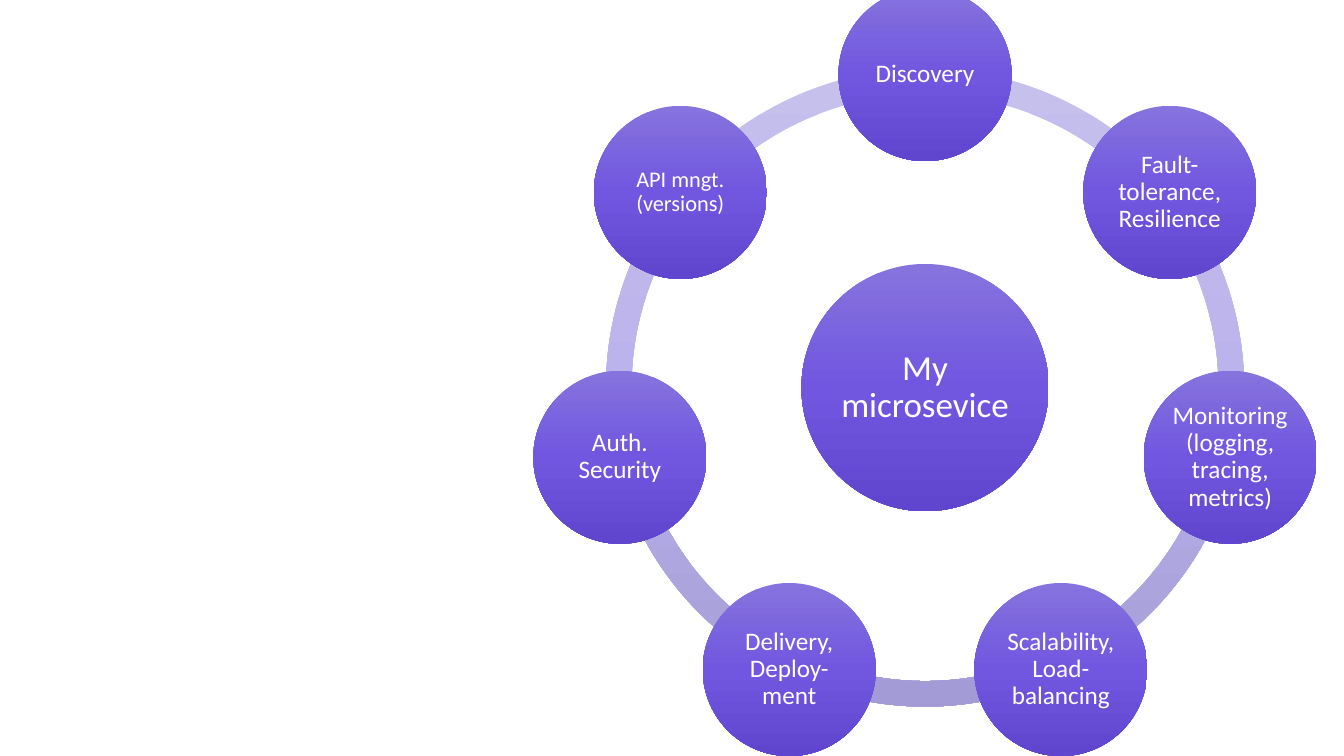
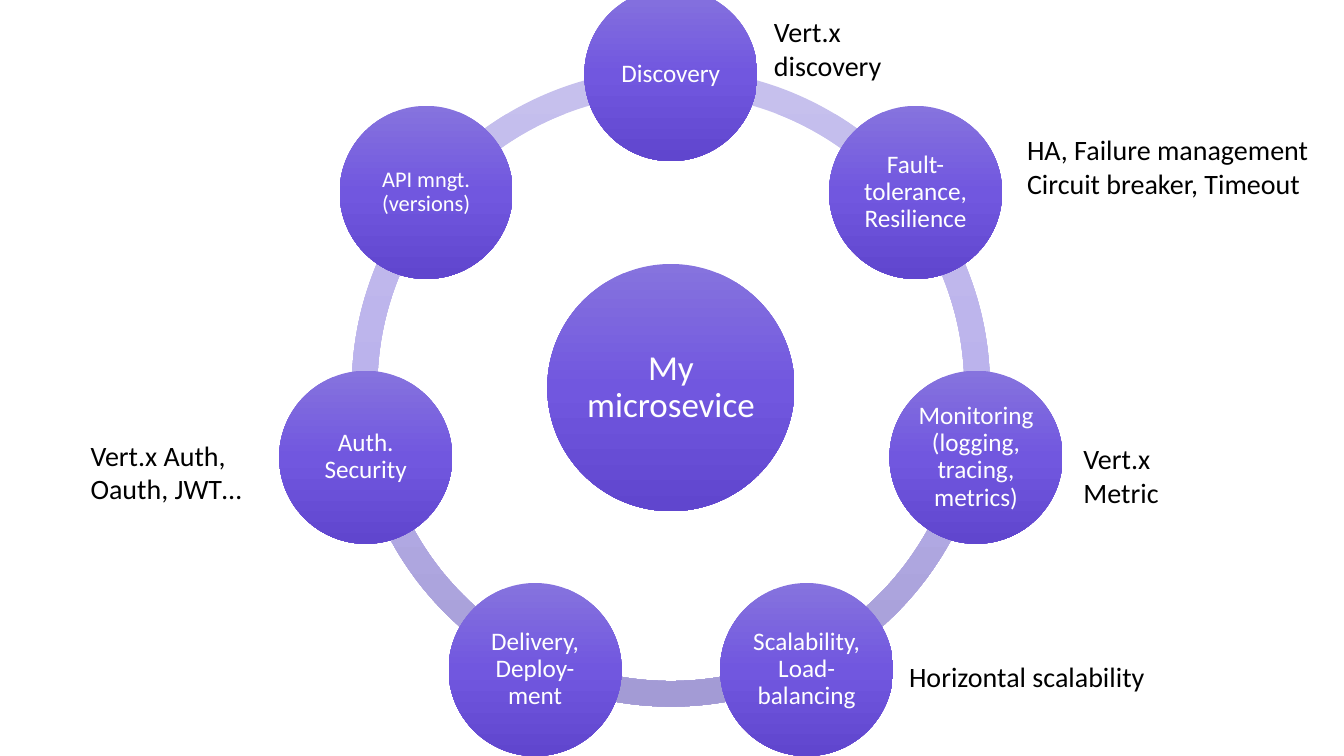
from copy import deepcopy
from dataclasses import dataclass
from math import cos, radians, sin

from pptx import Presentation
from pptx.dml.color import RGBColor
from pptx.enum.shapes import MSO_SHAPE as Shape
from pptx.enum.text import MSO_ANCHOR as Anchor, PP_ALIGN as Align
from pptx.oxml.ns import qn
from pptx.util import Inches, Pt

WIDTH, HEIGHT = Inches(13.333), Inches(7.5)


@dataclass(frozen=True)
class Theme:
    font: str = "Calibri"
    ring: tuple = ("C6C0ED", "BBB3EC", "A39BD5")
    circle: tuple = ("8673DE", "7157DF", "6046CE")
    circle_text: str = "FFFFFF"
    label_text: str = "000000"
    hub_size: int = 25
    node_size: int = 18
    small_size: int = 16
    label_size: int = 20


THEME = Theme()
CENTER_Y = 51.27
RING, HUB, NODE, ORBIT = 84.4, 32.7, 22.9, 41.4
RING_THICKNESS = 0.04
ANGLE_UNIT = 0.6
HUB_TEXT = "My microsevice"
NODES = (
    ("Discovery", THEME.node_size),
    ("Fault-tolerance, Resilience", THEME.node_size),
    ("Monitoring (logging, tracing, metrics)", THEME.node_size),
    ("Scalability, Load-balancing", THEME.node_size),
    ("Delivery,\nDeploy-ment", THEME.node_size),
    ("Auth. Security", THEME.node_size),
    ("API mngt.\n(versions)", THEME.small_size),
)
LABELS = (
    (56.85, 1.33, 12, 10.27, ("Vert.x", "discovery")),
    (75.68, 16.93, 24, 10.27, ("HA, Failure management", "Circuit breaker, Timeout")),
    (79.88, 57.73, 10.5, 10.27, ("Vert.x Metric",)),
    (66.9, 86.53, 20, 5.87, ("Horizontal scalability",)),
    (6, 57.33, 13.5, 10.27, ("Vert.x Auth,", "Oauth, JWT…")),
)


def across(percent):
    return int(WIDTH * percent / 100)


def down(percent):
    return int(HEIGHT * percent / 100)


def apply_format(target, values):
    for name, value in values.items():
        setattr(target, name, value)


def style_font(paragraph, size, color):
    apply_format(paragraph.font, {"name": THEME.font, "size": Pt(size)})
    paragraph.font.color.rgb = RGBColor.from_string(color)


def fill_gradient(shape, colors):
    shape.fill.gradient()
    shape.fill.gradient_angle = 270
    stop_list = shape._element.spPr.find(qn("a:gradFill")).find(qn("a:gsLst"))
    stop_list.append(deepcopy(stop_list[-1]))
    for index, (stop, color) in enumerate(zip(shape.fill.gradient_stops, colors)):
        stop.position = index / (len(colors) - 1)
        stop.color.rgb = RGBColor.from_string(color)


def add_round(slide, kind, center, diameter, colors):
    size = down(diameter)
    x, y = center
    shape = slide.shapes.add_shape(kind, x - size // 2, y - size // 2, size, size)
    shape.shadow.inherit = False
    shape.line.fill.background()
    fill_gradient(shape, colors)
    return shape


def add_arc(slide, center, start, end):
    arc = add_round(slide, Shape.BLOCK_ARC, center, RING, THEME.ring)
    values = (start % 360 * ANGLE_UNIT, end % 360 * ANGLE_UNIT, RING_THICKNESS)
    for index, value in enumerate(values):
        arc.adjustments[index] = value * 100 / 100


def add_circle(slide, center, diameter, text, size):
    circle = add_round(slide, Shape.OVAL, center, diameter, THEME.circle)
    margins = ("margin_left", "margin_top", "margin_right", "margin_bottom")
    frame_format = dict.fromkeys(margins, Inches(0.02))
    frame_format.update(word_wrap=True, vertical_anchor=Anchor.MIDDLE)
    apply_format(circle.text_frame, frame_format)
    paragraph = circle.text_frame.paragraphs[0]
    apply_format(paragraph, {"text": text, "alignment": Align.CENTER, "line_spacing": 0.9})
    style_font(paragraph, size, THEME.circle_text)


def add_label(slide, left, top, width, height, lines):
    box = slide.shapes.add_textbox(across(left), down(top), across(width), down(height))
    frame = box.text_frame
    frame.word_wrap = True
    for index, line in enumerate(lines):
        paragraph = frame.add_paragraph() if index else frame.paragraphs[0]
        paragraph.text = line
        style_font(paragraph, THEME.label_size, THEME.label_text)


def add_wheel(slide, center_x):
    center = x, y = across(center_x), down(CENTER_Y)
    step = 360 / len(NODES)
    angles = [270 + step * index for index in range(len(NODES))]
    for angle in angles:
        add_arc(slide, center, angle, angle + step)
    add_circle(slide, center, HUB, HUB_TEXT, THEME.hub_size)
    orbit = down(ORBIT)
    for angle, (text, size) in zip(angles, NODES):
        turn = radians(angle)
        position = int(x + orbit * cos(turn)), int(y + orbit * sin(turn))
        add_circle(slide, position, NODE, text, size)


def main():
    presentation = Presentation()
    apply_format(presentation, {"slide_width": WIDTH, "slide_height": HEIGHT})
    for center_x, labels in ((68.83, ()), (49.92, LABELS)):
        slide = presentation.slides.add_slide(presentation.slide_layouts[6])
        add_wheel(slide, center_x)
        for label in labels:
            add_label(slide, *label)
    presentation.save("out.pptx")


if __name__ == "__main__":
    main()
